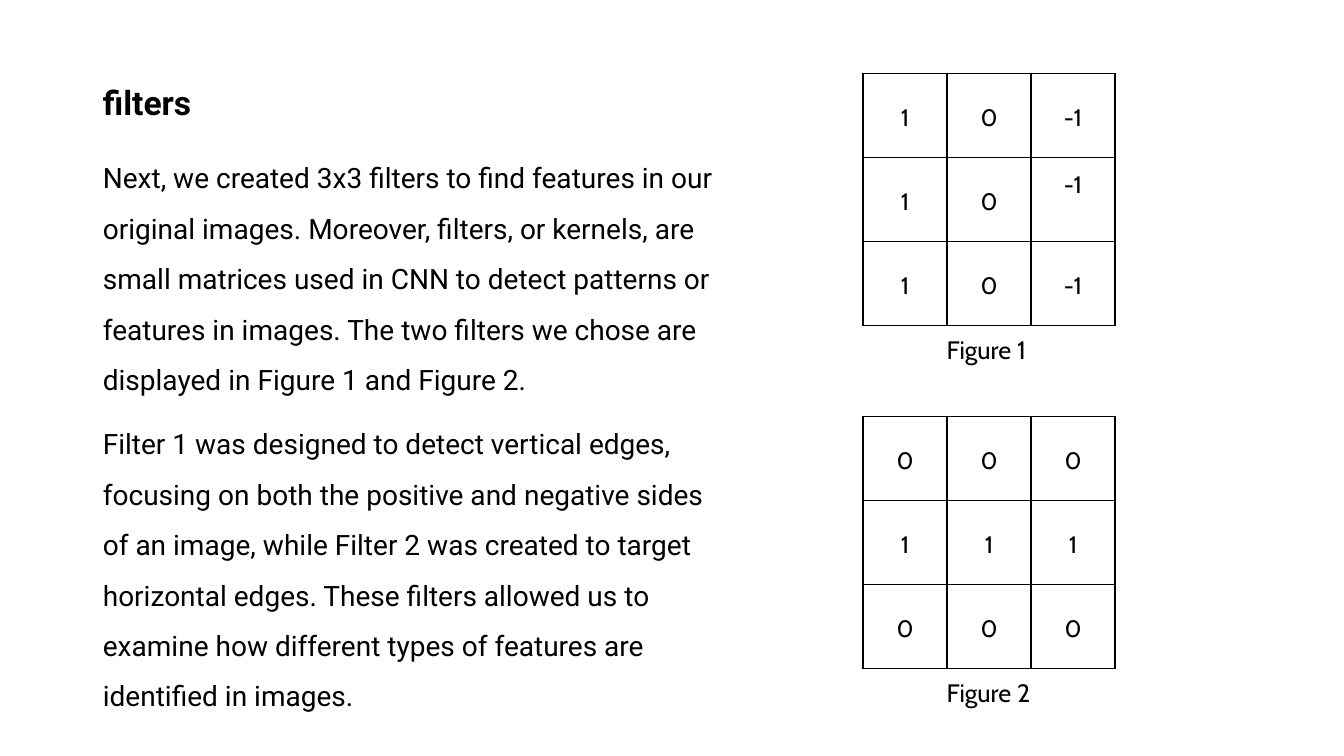
from lxml.etree import SubElement
from pptx import Presentation
from pptx.dml.color import RGBColor
from pptx.enum.text import MSO_ANCHOR, MSO_AUTO_SIZE, PP_ALIGN
from pptx.oxml import parse_xml
from pptx.oxml.ns import nsdecls, qn
from pptx.util import Inches, Pt

COLORS = {"text": "000000", "border": "000000", "background": "FFFFFF"}
BODY_FONT, FIGURE_FONT = "Roboto", "Cabin"
CELL_SIZE = 2.5 / 3

BODY = [
    "Next, we created 3x3 filters to find features in our original images. "
    "Moreover, filters, or kernels, are small matrices used in CNN to detect "
    "patterns or features in images. The two filters we chose are displayed in "
    "Figure 1 and Figure 2.",
    "Filter 1 was designed to detect vertical edges, focusing on both the positive "
    "and negative sides of an image, while Filter 2 was created to target horizontal "
    "edges. These filters allowed us to examine how different types of features are "
    "identified in images.",
]
VERTICAL_FILTER = [[1, 0, -1]] * 3
HORIZONTAL_FILTER = [[0] * 3, [1] * 3, [0] * 3]


def place(shape, left, top, width, height):
    shape.left, shape.top = Inches(left), Inches(top)
    shape.width, shape.height = Inches(width), Inches(height)


def format_runs(paragraph, font_name, size, bold=False):
    for run in paragraph.runs:
        run.font.name = font_name
        run.font.size = Pt(size)
        run.font.bold = bold
        run.font.color.rgb = RGBColor.from_string(COLORS["text"])


def add_title(slide, left, top, width, height):
    title = slide.shapes.title
    place(title, left, top, width, height)
    text_frame = title.text_frame
    text_frame.text = "filters"
    text_frame.auto_size = MSO_AUTO_SIZE.NONE
    text_frame.vertical_anchor = MSO_ANCHOR.MIDDLE
    paragraph = text_frame.paragraphs[0]
    paragraph.alignment = PP_ALIGN.LEFT
    paragraph.line_spacing = 0.9
    format_runs(paragraph, BODY_FONT, 24, bold=True)


def add_body(slide, left, top, width, height):
    body = slide.placeholders[1]
    place(body, left, top, width, height)
    text_frame = body.text_frame
    text_frame.text = "\n".join(BODY)
    text_frame.auto_size = MSO_AUTO_SIZE.NONE
    text_frame.vertical_anchor = MSO_ANCHOR.TOP
    for paragraph in text_frame.paragraphs:
        paragraph.line_spacing = 1.5
        paragraph.space_before = Pt(10)
        format_runs(paragraph, BODY_FONT, 20)
        # Plain paragraphs without bullets
        properties = paragraph._p.get_or_add_pPr()
        properties.set("marL", "0")
        properties.set("indent", "0")
        SubElement(properties, qn("a:buNone"))


def set_borders(cell):
    properties = cell._tc.get_or_add_tcPr()
    for position, side in enumerate(("lnL", "lnR", "lnT", "lnB")):
        properties.insert(position, parse_xml(
            f'<a:{side} {nsdecls("a")} w="{Pt(1)}"><a:solidFill>'
            f'<a:srgbClr val="{COLORS["border"]}"/></a:solidFill></a:{side}>'))


def add_matrix(slide, values, left, top, size):
    count = len(values)
    table = slide.shapes.add_table(
        count, count, Inches(left), Inches(top), Inches(size), Inches(size)).table
    table.first_row = table.horz_banding = False
    for line in (*table.columns, *table.rows):
        if line in table.columns:
            line.width = Inches(size / count)
    for row, row_values in zip(table.rows, values):
        row.height = Inches(size / count)
        for cell, value in zip(row.cells, row_values):
            cell.text_frame.text = str(value)
            cell.vertical_anchor = MSO_ANCHOR.MIDDLE
            cell.margin_left = cell.margin_right = Inches(0.1)
            cell.margin_top = cell.margin_bottom = 0
            paragraph = cell.text_frame.paragraphs[0]
            paragraph.alignment = PP_ALIGN.CENTER
            paragraph.line_spacing = 1.16
            format_runs(paragraph, FIGURE_FONT, 17)
            cell.fill.background()
            set_borders(cell)
    return table


def add_caption(slide, text, left, top, width, height):
    caption = slide.shapes.add_textbox(
        Inches(left), Inches(top), Inches(width), Inches(height))
    text_frame = caption.text_frame
    text_frame.text = text
    text_frame.word_wrap = False
    text_frame.auto_size = MSO_AUTO_SIZE.SHAPE_TO_FIT_TEXT
    format_runs(text_frame.paragraphs[0], FIGURE_FONT, 18)


def add_figure(slide, caption, values, left, top):
    size = CELL_SIZE * len(values)
    table = add_matrix(slide, values, left, top, size)
    add_caption(slide, caption, left + 0.73, top + size + 0.04, 1.05, 0.4)
    return table


def main():
    presentation = Presentation()
    presentation.slide_width = Inches(13.33)
    presentation.slide_height = Inches(7.5)
    slide = presentation.slides.add_slide(presentation.slide_layouts[1])
    slide.background.fill.solid()
    slide.background.fill.fore_color.rgb = RGBColor.from_string(COLORS["background"])

    # Explanation on the left
    add_title(slide, 0.92, 0.31, 6.69, 1.45)
    add_body(slide, 0.92, 1.38, 6.26, 5.7)

    # Filter matrices on the right
    vertical_table = add_figure(slide, "Figure 1", VERTICAL_FILTER, 8.56, 0.73)
    add_figure(slide, "Figure 2", HORIZONTAL_FILTER, 8.56, 4.13)
    # The middle value of the last column sits higher in its cell
    vertical_table.cell(1, 2).margin_bottom = Inches(0.34)

    presentation.save("out.pptx")


if __name__ == "__main__":
    main()
